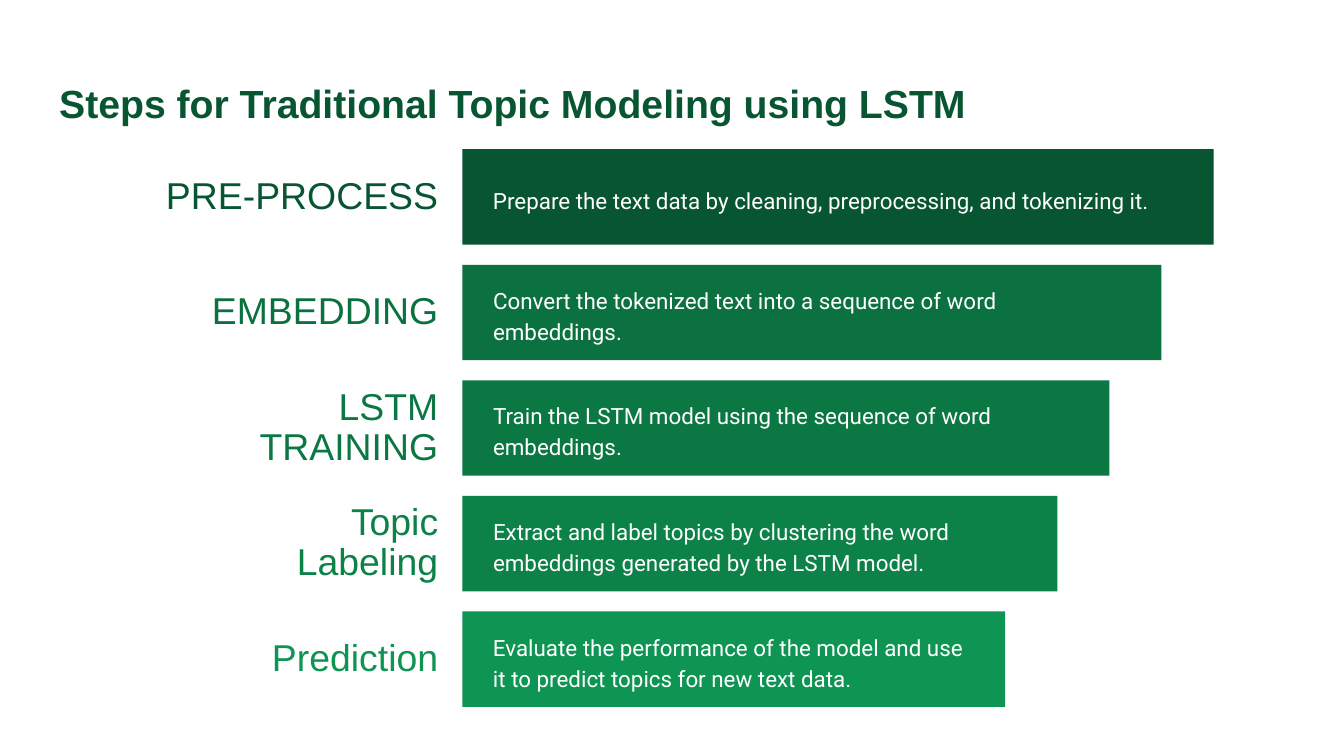
import pptx
import pptx.util
import pptx.dml.color
import pptx.enum.shapes
import pptx.enum.text

COLORS = {
    "preprocess": "085631",
    "embedding": "0B7140",
    "training": "0B7743",
    "labeling": "0C8148",
    "prediction": "0E9453",
    "white": "FFFFFF",
}

STEPS = [
    ("preprocess", "PRE-PROCESS", 2.43, 5.1,
     "Prepare the text data by cleaning, preprocessing, and tokenizing it."),
    ("embedding", "EMBEDDING", 2.32, 4.68,
     "Convert the tokenized text into a sequence of word embeddings."),
    ("training", "LSTM TRAINING", 2.25, 4.42,
     "Train the LSTM model using the sequence of word embeddings."),
    ("labeling", "Topic Labeling", 1.64, 4.12,
     "Extract and label topics by clustering the word embeddings generated by the LSTM model."),
    ("prediction", "Prediction", 1.64, 3.74,
     "Evaluate the performance of the model and use it to predict topics for new text data."),
]

SLIDE_WIDTH = 10
SLIDE_HEIGHT = SLIDE_WIDTH * 9 / 16
FIRST_ROW_TOP = 1.11
ROW_PITCH = 0.86
BAR_LEFT = 3.44
BAR_HEIGHT = 0.71
LONGEST_BAR = 5.59
SHORTEST_BAR = 4.04
BAR_STEP = (LONGEST_BAR - SHORTEST_BAR) / (len(STEPS) - 1)
LABEL_RIGHT = 3.36
LABEL_HEIGHT = 0.61
DESCRIPTION_LEFT = 3.57
DESCRIPTION_HEIGHT = 0.32


def inches(*lengths):
    return [pptx.util.Inches(length) for length in lengths]


def rgb(name):
    return pptx.dml.color.RGBColor.from_string(COLORS[name])


def write_text(shape, text, *, size, color, font="Arial", bold=False,
               align="LEFT", anchor="MIDDLE", spacing=1.0, margin=0.05):
    frame = shape.text_frame
    frame.word_wrap = True
    frame.auto_size = pptx.enum.text.MSO_AUTO_SIZE.NONE
    frame.vertical_anchor = getattr(pptx.enum.text.MSO_ANCHOR, anchor)
    frame.margin_left, frame.margin_right = inches(0.1, 0.1)
    frame.margin_top, frame.margin_bottom = inches(margin, margin)
    paragraph = frame.paragraphs[0]
    paragraph.alignment = getattr(pptx.enum.text.PP_ALIGN, align)
    paragraph.line_spacing = spacing
    run = paragraph.add_run()
    run.text = text
    run.font.name = font
    run.font.size = pptx.util.Pt(size)
    run.font.bold = bold
    run.font.color.rgb = rgb(color)


def add_title(slide, text):
    title = slide.shapes.title
    title.left, title.top, title.width, title.height = inches(0.34, 0.49, 9.32, 0.63)
    write_text(title, text, size=21, color="preprocess", bold=True,
               anchor="TOP", margin=0.1)


def add_bar(shapes, top, width, color):
    bar = shapes.add_shape(pptx.enum.shapes.MSO_SHAPE.RECTANGLE,
                           *inches(BAR_LEFT, top, width, BAR_HEIGHT))
    bar.shadow.inherit = False
    bar.fill.solid()
    bar.fill.fore_color.rgb = rgb(color)
    bar.line.fill.background()


def add_step(slide, row, color, label, label_width, description_width, description):
    top = FIRST_ROW_TOP + row * ROW_PITCH
    shapes = slide.shapes.add_group_shape().shapes
    label_box = shapes.add_textbox(
        *inches(LABEL_RIGHT - label_width, top + 0.05, label_width, LABEL_HEIGHT))
    write_text(label_box, label, size=20, color=color, align="RIGHT", spacing=0.9)
    add_bar(shapes, top, LONGEST_BAR - row * BAR_STEP, color)
    description_top = top + (BAR_HEIGHT - DESCRIPTION_HEIGHT) / 2 + 0.01
    description_box = shapes.add_textbox(
        *inches(DESCRIPTION_LEFT, description_top, description_width, DESCRIPTION_HEIGHT))
    write_text(description_box, description, size=12, color="white",
               font="Roboto", spacing=1.15)


def main():
    presentation = pptx.Presentation()
    presentation.slide_width, presentation.slide_height = inches(SLIDE_WIDTH, SLIDE_HEIGHT)
    slide = presentation.slides.add_slide(presentation.slide_layouts.get_by_name("Title Only"))
    add_title(slide, "Steps for Traditional Topic Modeling using LSTM")
    for row, step in enumerate(STEPS):
        add_step(slide, row, *step)
    presentation.save("out.pptx")


if __name__ == "__main__":
    main()
